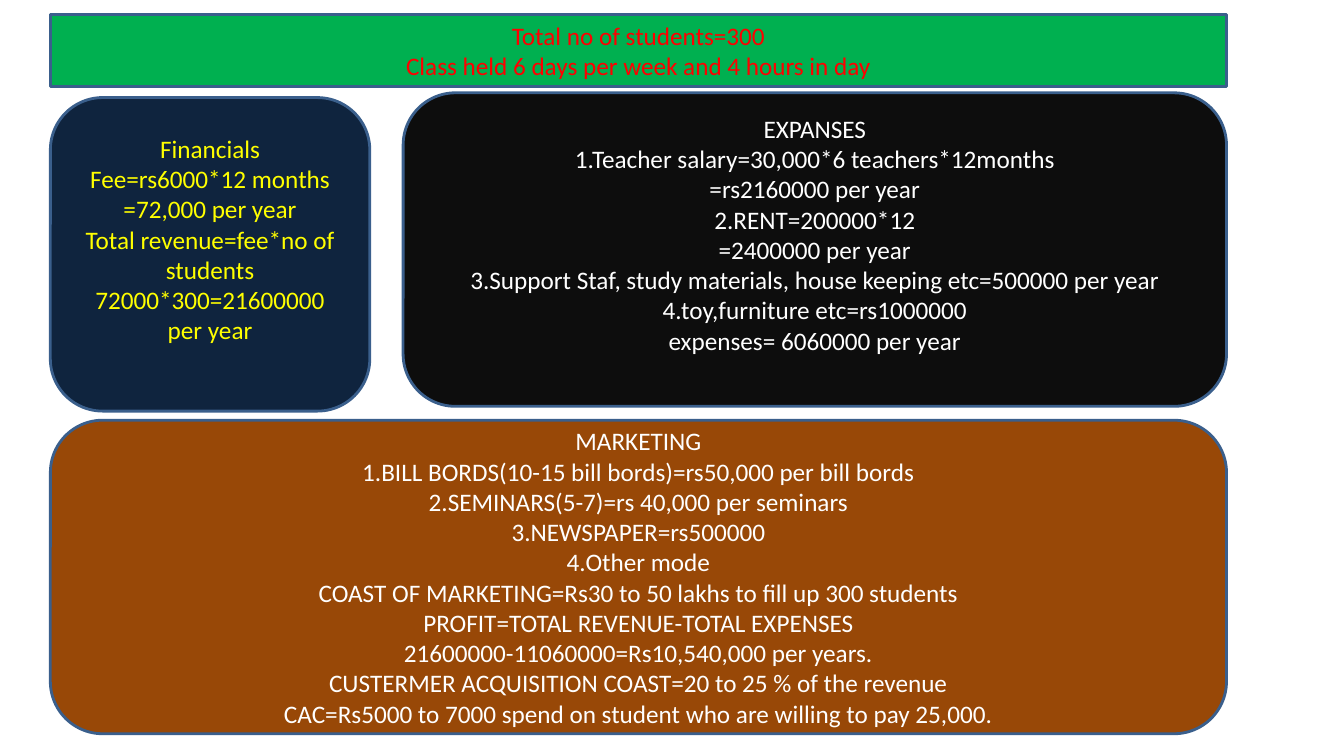
import pptx
import pptx.util
import pptx.dml.color
import pptx.enum.shapes
import pptx.enum.text
from pptx.util import Cm

LEFT = 1.27
FULL_WIDTH = 29.64
PANEL_HEIGHT = 7.9
INSET = 0.13
LINE_HEIGHT = 0.77


def color(hex_value):
    return pptx.dml.color.RGBColor.from_string(hex_value)


def apply_format(target, values):
    for name, value in values.items():
        setattr(target, name, value)


class SlideBuilder:
    """Holds the shared style and the current slide."""

    outline = "3A5F8C"
    font = {"name": "Calibri", "size": pptx.util.Pt(18), "bold": False}
    paragraph = {
        "alignment": pptx.enum.text.PP_ALIGN.CENTER,
        "space_before": pptx.util.Pt(0),
        "space_after": pptx.util.Pt(0),
    }
    frame = {
        "word_wrap": True,
        "auto_size": pptx.enum.text.MSO_AUTO_SIZE.NONE,
        "vertical_anchor": pptx.enum.text.MSO_ANCHOR.MIDDLE,
    }

    def __init__(self, presentation):
        # Layout 5 holds a title only
        self.slide = presentation.slides.add_slide(presentation.slide_layouts[5])

    def style(self, shape, fill, text_color, lines, bottom_inset=INSET):
        shape.fill.solid()
        shape.fill.fore_color.rgb = color(fill)
        shape.line.color.rgb = color(self.outline)
        shape.line.width = pptx.util.Pt(2)
        text_frame = shape.text_frame
        text_frame.text = "\n".join(lines)
        apply_format(text_frame, self.frame)
        text_frame.margin_bottom = Cm(bottom_inset)
        for paragraph in text_frame.paragraphs:
            apply_format(paragraph, self.paragraph)
            for run in paragraph.runs:
                apply_format(run.font, self.font)
                run.font.color.rgb = color(text_color)

    def banner(self, top, height, fill, text_color, lines):
        title = self.slide.shapes.title
        apply_format(title, {"left": Cm(LEFT), "top": Cm(top),
                             "width": Cm(FULL_WIDTH), "height": Cm(height)})
        self.style(title, fill, text_color, lines)

    def panel(self, left, top, width, fill, text_color, lines, bottom_inset=INSET):
        shape = self.slide.shapes.add_shape(
            pptx.enum.shapes.MSO_SHAPE.ROUNDED_RECTANGLE,
            Cm(left), Cm(top), Cm(width), Cm(PANEL_HEIGHT))
        shape.shadow.inherit = False
        self.style(shape, fill, text_color, lines, bottom_inset)


def main():
    presentation = pptx.Presentation()
    presentation.slide_width = Cm(33.87)
    presentation.slide_height = Cm(19.05)
    builder = SlideBuilder(presentation)

    # Heading banner
    builder.banner(0.36, 1.83, "00B050", "FF0000", [
        "Total no of students=300",
        "Class held 6 days per week and 4 hours in day",
    ])

    # Revenue and expenses, with one line of room kept free below the text
    raised = INSET + LINE_HEIGHT
    builder.panel(LEFT, 2.46, 8.05, "0F243E", "FFFF00", [
        "Financials",
        "Fee=rs6000*12 months",
        "=72,000 per year",
        "Total revenue=fee*no of students",
        "72000*300=21600000 per year",
    ], raised)
    builder.panel(10.16, 2.34, 20.75, "0D0D0D", "FFFFFF", [
        "EXPANSES",
        "1.Teacher salary=30,000*6 teachers*12months",
        "=rs2160000 per year",
        "2.RENT=200000*12",
        "=2400000 per year",
        "3.Support Staf, study materials, house keeping etc=500000 per year",
        "4.toy,furniture etc=rs1000000",
        "expenses= 6060000 per year",
    ], raised)

    # Marketing and profit
    builder.panel(LEFT, 10.59, FULL_WIDTH, "984807", "FFFFFF", [
        "MARKETING",
        "1.BILL BORDS(10-15 bill bords)=rs50,000 per bill bords",
        "2.SEMINARS(5-7)=rs 40,000 per seminars",
        "3.NEWSPAPER=rs500000",
        "4.Other mode",
        "COAST OF MARKETING=Rs30 to 50 lakhs to fill up 300 students",
        "PROFIT=TOTAL REVENUE-TOTAL EXPENSES",
        "21600000-11060000=Rs10,540,000 per years.",
        "CUSTERMER ACQUISITION COAST=20 to 25 % of the revenue",
        "CAC=Rs5000 to 7000 spend on student who are willing to pay 25,000.",
    ])

    presentation.save("out.pptx")


if __name__ == "__main__":
    main()
